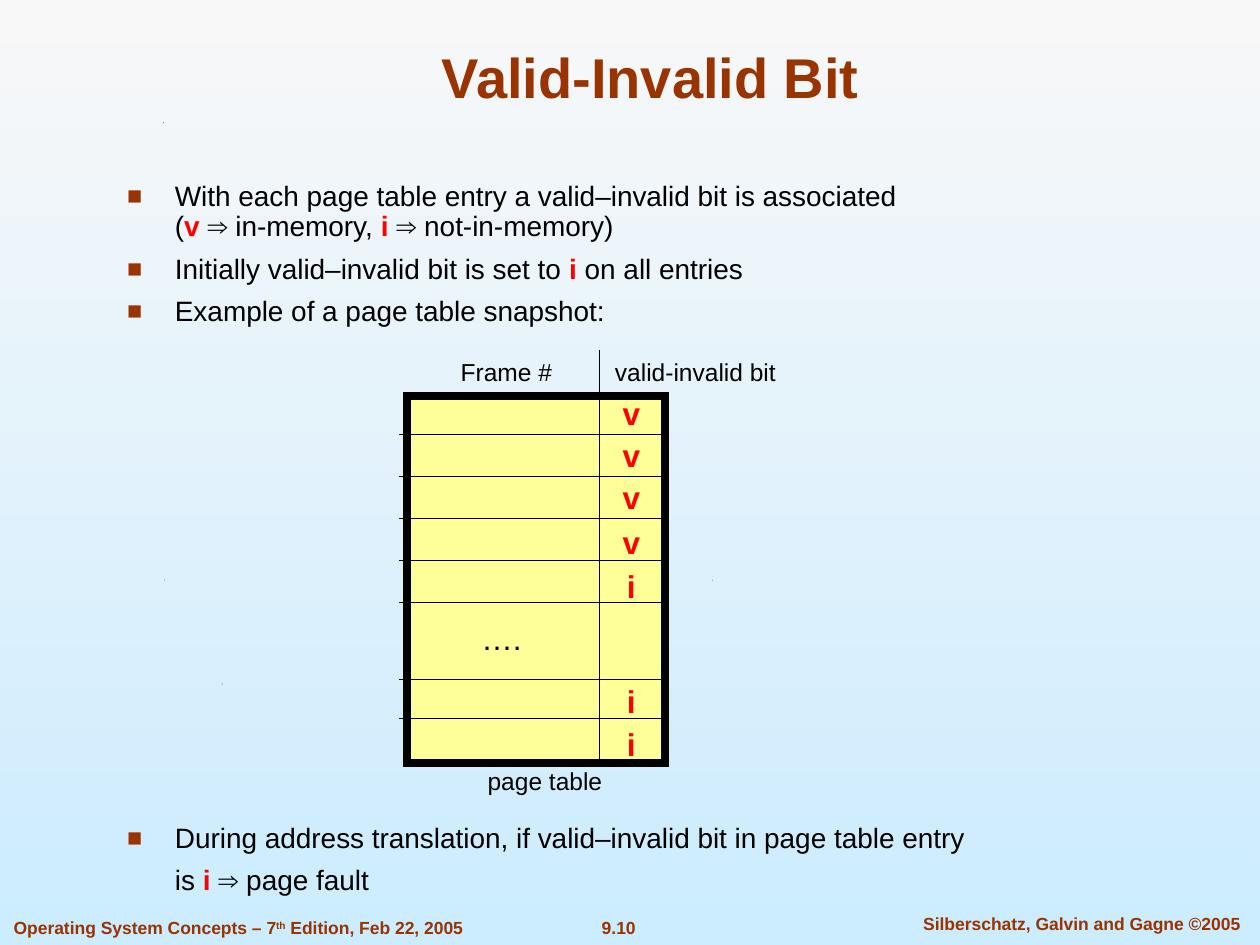
from lxml import etree
from pptx import Presentation
from pptx import util as u
from pptx.dml.color import RGBColor
from pptx.enum import shapes, text
from pptx.oxml.ns import qn

RUST = RGBColor(0x99, 0x33, 0x00)
RED = RGBColor(0xFF, 0x00, 0x00)
BLACK = RGBColor(0x00, 0x00, 0x00)
CREAM = RGBColor(0xFF, 0xFF, 0x99)
PALE = RGBColor(0xF8, 0xF8, 0xF8)
SKY = RGBColor(0xCC, 0xEC, 0xFF)
LEFT, MID = text.PP_ALIGN.LEFT, text.PP_ALIGN.CENTER
TOP, HALF, LOW = (text.MSO_ANCHOR.TOP, text.MSO_ANCHOR.MIDDLE,
                  text.MSO_ANCHOR.BOTTOM)

deck = Presentation()
deck.slide_width, deck.slide_height = u.Inches(10), u.Inches(7.5)
slide = deck.slides.add_slide(deck.slide_layouts[6])

# The grid: one column and one row are a hundredth of the slide
COL, ROW = deck.slide_width / 100, deck.slide_height / 100


def frame(x, y, w, h, wrap=False, anchor=HALF):
    """Add a text box, placed in columns and rows."""
    box = slide.shapes.add_textbox(round(x * COL), round(y * ROW),
                                   round(w * COL), round(h * ROW))
    box.text_frame.word_wrap = wrap
    box.text_frame.vertical_anchor = anchor
    if not wrap:
        box.text_frame.auto_size = text.MSO_AUTO_SIZE.SHAPE_TO_FIT_TEXT
    return box.text_frame


def write(par, runs, size, align=MID):
    """Fill a paragraph run by run; a None run breaks the line."""
    par.alignment = align
    for part in runs:
        if part is None:
            par.add_line_break()
            continue
        words, tint, bold = part
        run = par.add_run()
        run.text = words
        run.font.name, run.font.size = "Arial", u.Pt(size)
        run.font.color.rgb, run.font.bold = tint, bold
    return par


# Background
fill = slide.background.fill
fill.gradient()
fill.gradient_angle = 270
for stop, tint, spot in zip(fill.gradient_stops, (PALE, SKY), (0, 1)):
    stop.color.rgb, stop.position = tint, spot

# Tiny specks
for x, y in ((17.6, 72.33), (13, 61.33), (56.5, 61.33), (12.9, 12.93)):
    pen = slide.shapes.build_freeform(round(x * COL), round((y + 0.1) * ROW))
    pen.add_line_segments([(round((x + 0.1) * COL), round(y * ROW)),
                           (round((x + 0.05) * COL), round((y + 0.1) * ROW))])
    speck = pen.convert_to_shape()
    speck.shadow.inherit = False
    speck.fill.solid()
    speck.fill.fore_color.rgb = BLACK
    speck.line.fill.background()

# Footer
write(frame(44.2, 96.4, 9.8, 3.6, anchor=TOP).paragraphs[0],
      [("9.10", RUST, True)], 10)
write(frame(71, 96, 29.7, 3.6, True, TOP).paragraphs[0],
      [("Silberschatz, Galvin and Gagne ©2005", RUST, True)], 10)
book = write(frame(0.1, 96.4, 40, 3.6, True, TOP).paragraphs[0],
             [("Operating System Concepts – 7", RUST, True),
              ("th", RUST, True),
              (" Edition, Feb 22, 2005", RUST, True)], 10, LEFT)
book.runs[1].font._element.set("baseline", "30000")

# Title
write(frame(7.5, 3.33, 88.3, 8.93, True, LOW).paragraphs[0],
      [("Valid-Invalid Bit", RUST, True)], 32)

# Body: bullet flag, space before, runs; the wide space holds the table
body = frame(9.1, 18.67, 79.2, 83.33, True, TOP)
items = (
    (True, 7, [("With each page table entry a valid–invalid bit is associated",
                BLACK, False), None, ("(", BLACK, False),
               ("v ", RED, True), ("⇒ in-memory, ", BLACK, False),
               ("i ", RED, True), ("⇒ not-in-memory)", BLACK, False)]),
    (True, 7, [("Initially valid–invalid bit is set to", BLACK, False),
               (" i ", RED, True), ("on all entries", BLACK, False)]),
    (True, 7, [("Example of a page table snapshot:", BLACK, False)]),
    (True, 283.5, [("During address translation, if valid–invalid bit in "
                    "page table entry", BLACK, False)]),
    (False, 7, [("is", BLACK, False), (" i ", RED, True),
                ("⇒ page fault", BLACK, False)]),
)
hang = u.Inches(0.38)
for n, (dot, gap, runs) in enumerate(items):
    par = body.add_paragraph() if n else body.paragraphs[0]
    write(par, runs, 16, LEFT)
    par.line_spacing, par.space_before = 0.9, u.Pt(gap)
    prop = par._p.get_or_add_pPr()
    prop.set("marL", str(hang))
    prop.set("indent", str(-hang if dot else 0))
    if dot:
        tone = etree.SubElement(prop, qn("a:buClr"))
        etree.SubElement(tone, qn("a:srgbClr"), val=str(RUST))
        etree.SubElement(prop, qn("a:buSzPct"), val="90000")
        etree.SubElement(prop, qn("a:buFont"), typeface="Arial")
        etree.SubElement(prop, qn("a:buChar"), char="■")

# Page table, with square corners
table = slide.shapes.add_shape(
    shapes.MSO_SHAPE.RECTANGLE, round(32.3 * COL), round(41.87 * ROW),
    round(20.5 * COL), round(38.93 * ROW))
table.shadow.inherit = False
table.fill.solid()
table.fill.fore_color.rgb = CREAM
table.line.color.rgb, table.line.width = BLACK, u.Pt(4.5)
etree.SubElement(table.line._get_or_add_ln(), qn("a:miter"), lim="800000")

# Row rules at an equal pitch, two below the gap, and the column rule
levels = [46 + 4.44 * n for n in range(5)] + [71.87, 76]
rules = [(31.7, y, 52.6, y) for y in levels] + [(47.6, 37.07, 47.6, 80.4)]
for x, y, right, base in rules:
    rule = slide.shapes.add_connector(
        shapes.MSO_CONNECTOR.STRAIGHT, round(x * COL), round(y * ROW),
        round(right * COL), round(base * ROW))
    rule.line.color.rgb, rule.line.width = BLACK, u.Pt(0.75)
    etree.SubElement(rule._element.spPr, qn("a:effectLst"))

# Valid and invalid marks
tops = (41.07, 45.47, 49.87, 54.67, 59.33, 71.47, 76)
for mark, y in zip("vvvviii", tops):
    write(frame(48.4, y, 3.4, 5.33).paragraphs[0], [(mark, RED, True)], 18)

# Labels
for words, size, x, y, w, h in (
        ("….", 18, 37.2, 64.8, 5.2, 5.33),
        ("Frame #", 14, 34.7, 37.07, 11, 4.53),
        ("valid-invalid bit", 14, 47.4, 37.07, 15.6, 4.53),
        ("page table", 14, 37.2, 80.4, 12.1, 4.53)):
    write(frame(x, y, w, h).paragraphs[0], [(words, BLACK, False)], size)

deck.save("out.pptx")
